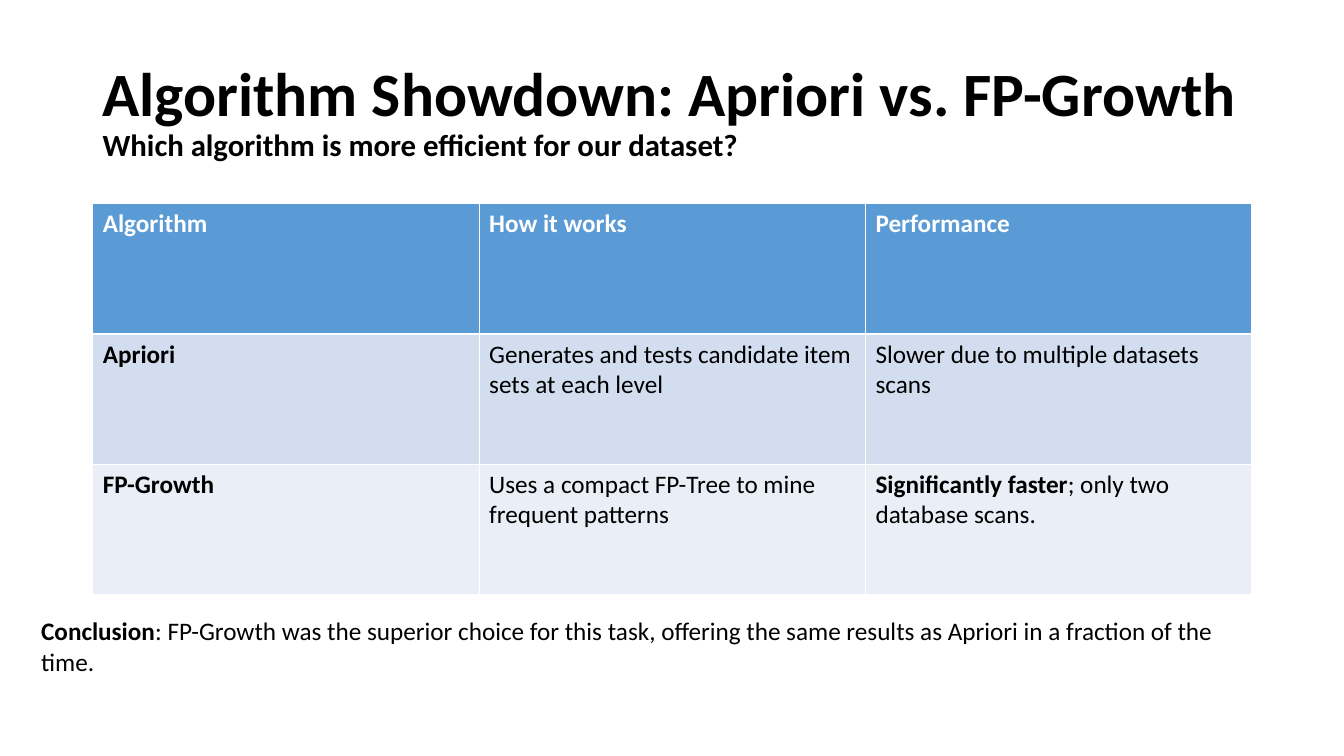
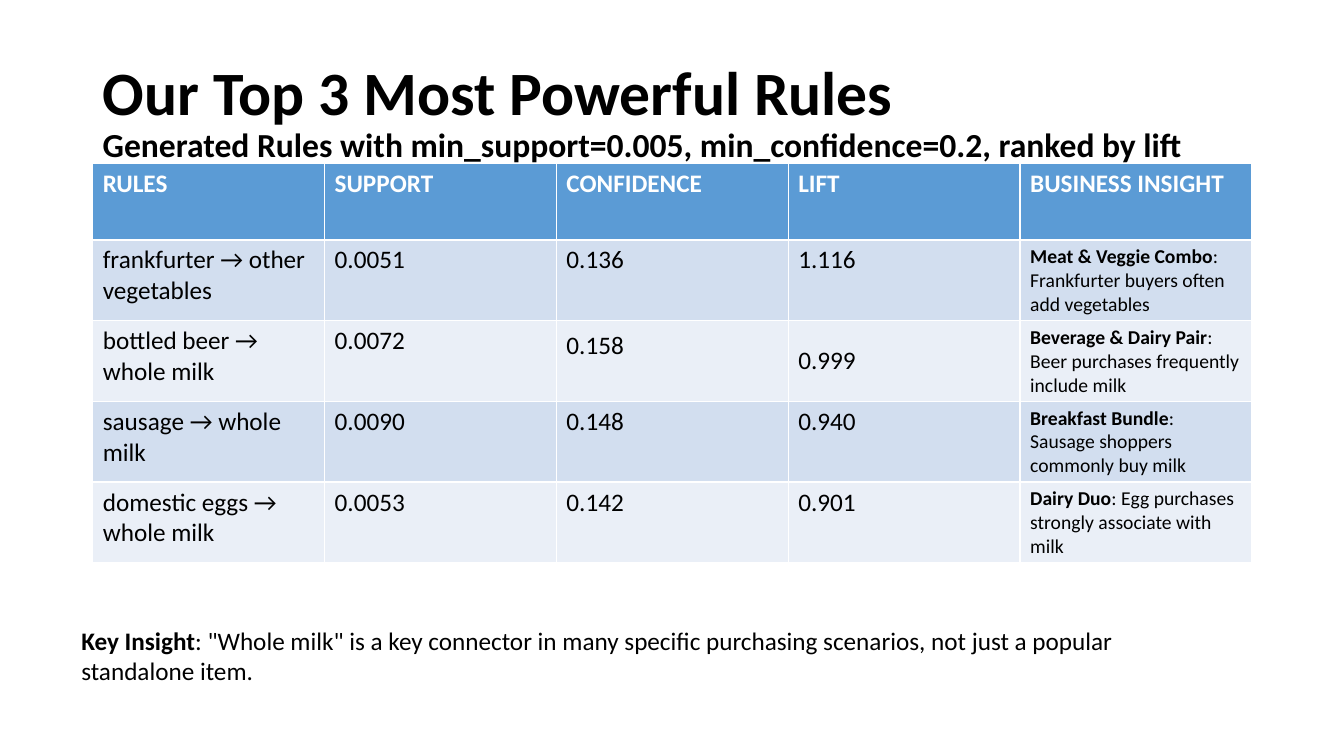
"""Build two slides that compare mining algorithms and list the top rules."""
from pptx import Presentation
from pptx.dml.color import RGBColor
from pptx.enum.text import MSO_ANCHOR as Anchor
from pptx.util import Pt

FONT = "Calibri"
COLORS = {"text": "000000", "header": "5B9BD5", "header_text": "FFFFFF",
          "odd": "D2DEEF", "even": "EAEFF7"}
LEFT, WIDTH = 66.24, 828
TITLE_TOP, TITLE_HEIGHT = 28.8, 104.4

SLIDES = [
    {
        "title": "Algorithm Showdown: Apriori vs. FP-Growth",
        "subtitle": ("Which algorithm is more efficient for our dataset?", 22),
        "table_top": 145.6,
        "row_heights": (93, 93),
        "rows": [
            ("Algorithm", "How it works", "Performance"),
            (("Apriori", ""), "Generates and tests candidate item sets at each level",
             "Slower due to multiple datasets scans"),
            (("FP-Growth", ""), "Uses a compact FP-Tree to mine frequent patterns",
             ("Significantly faster", "; only two database scans.")),
        ],
        "sizes": (18, 18, 18),
        "note": ("Conclusion", ": FP-Growth was the superior choice for this task, offering "
                 "the same results as Apriori in a fraction of the time."),
        "note_box": (22.3, 436.3, 871, 51),
    },
    {
        "title": "Our Top 3 Most Powerful Rules",
        "subtitle": ("Generated Rules with min_support=0.005, min_confidence=0.2, "
                     "ranked by lift", 24),
        "table_top": 116.8,
        "row_heights": (54.6, 57.6),
        "rows": [
            ("RULES", "SUPPORT", "CONFIDENCE", "LIFT", "BUSINESS INSIGHT"),
            ("frankfurter → other vegetables", "0.0051", "0.136", "1.116",
             ("Meat & Veggie Combo", ": Frankfurter buyers often add vegetables")),
            ("bottled beer → whole milk", "0.0072", "0.158", "0.999",
             ("Beverage & Dairy Pair", ": Beer purchases frequently include milk")),
            ("sausage → whole milk", "0.0090", "0.148", "0.940",
             ("Breakfast Bundle", ": Sausage shoppers commonly buy milk")),
            ("domestic eggs → whole milk", "0.0053", "0.142", "0.901",
             ("Dairy Duo", ": Egg purchases strongly associate with milk")),
        ],
        "sizes": (18, 18, 18, 18, 14),
        "top_margins": {(2, 2): 7.2},
        "middle": [(2, 3), (4, 4)],
        "note": ("Key Insight", ": \"Whole milk\" is a key connector in many specific "
                 "purchasing scenarios, not just a popular standalone item."),
        "note_box": (51, 442.8, 831, 51),
    },
]


def rgb(name):
    return RGBColor.from_string(COLORS[name])


def write(p, text, size, bold=False, color="text"):
    lead, rest = text if isinstance(text, tuple) else ("", text)
    p.font.name, p.font.size = FONT, Pt(size)
    p.font.color.rgb = rgb(color)
    for part, is_bold in ((lead, True), (rest, bold)):
        if part:
            r = p.add_run()
            r.text, r.font.bold = part, is_bold


def add_box(s, box):
    tf = s.shapes.add_textbox(*map(Pt, box)).text_frame
    tf.word_wrap = True
    return tf


def add_title(s, title, subtitle):
    tf = add_box(s, (LEFT, TITLE_TOP, WIDTH, TITLE_HEIGHT))
    tf.vertical_anchor = Anchor.MIDDLE
    for p, (text, size) in zip((tf.paragraphs[0], tf.add_paragraph()),
                               ((title, 44), subtitle)):
        p.line_spacing = 0.9
        write(p, text, size, bold=True)


def add_table(s, data):
    rows, (head, body) = data["rows"], data["row_heights"]
    heights = [head] + [body] * (len(rows) - 1)
    table = s.shapes.add_table(len(rows), len(rows[0]), Pt(LEFT), Pt(data["table_top"]),
                               Pt(WIDTH), Pt(sum(heights))).table
    for i, (row, height) in enumerate(zip(rows, heights)):
        table.rows[i].height = Pt(height)
        is_head = i == 0
        fill = "header" if is_head else ("even", "odd")[i % 2]
        for j, text in enumerate(row):
            cell = table.cell(i, j)
            cell.fill.solid()
            cell.fill.fore_color.rgb = rgb(fill)
            cell.margin_top = Pt(data.get("top_margins", {}).get((i, j), 3.6))
            if (i, j) in data.get("middle", ()):
                cell.vertical_anchor = Anchor.MIDDLE
            write(cell.text_frame.paragraphs[0], text, 18 if is_head else data["sizes"][j],
                  is_head, "header_text" if is_head else "text")


def main():
    prs = Presentation()
    prs.slide_width, prs.slide_height = Pt(960), Pt(540)
    for data in SLIDES:
        s = prs.slides.add_slide(prs.slide_layouts[6])
        add_title(s, data["title"], data["subtitle"])
        add_table(s, data)
        write(add_box(s, data["note_box"]).paragraphs[0], data["note"], 18)
    prs.save("out.pptx")


if __name__ == "__main__":
    main()
